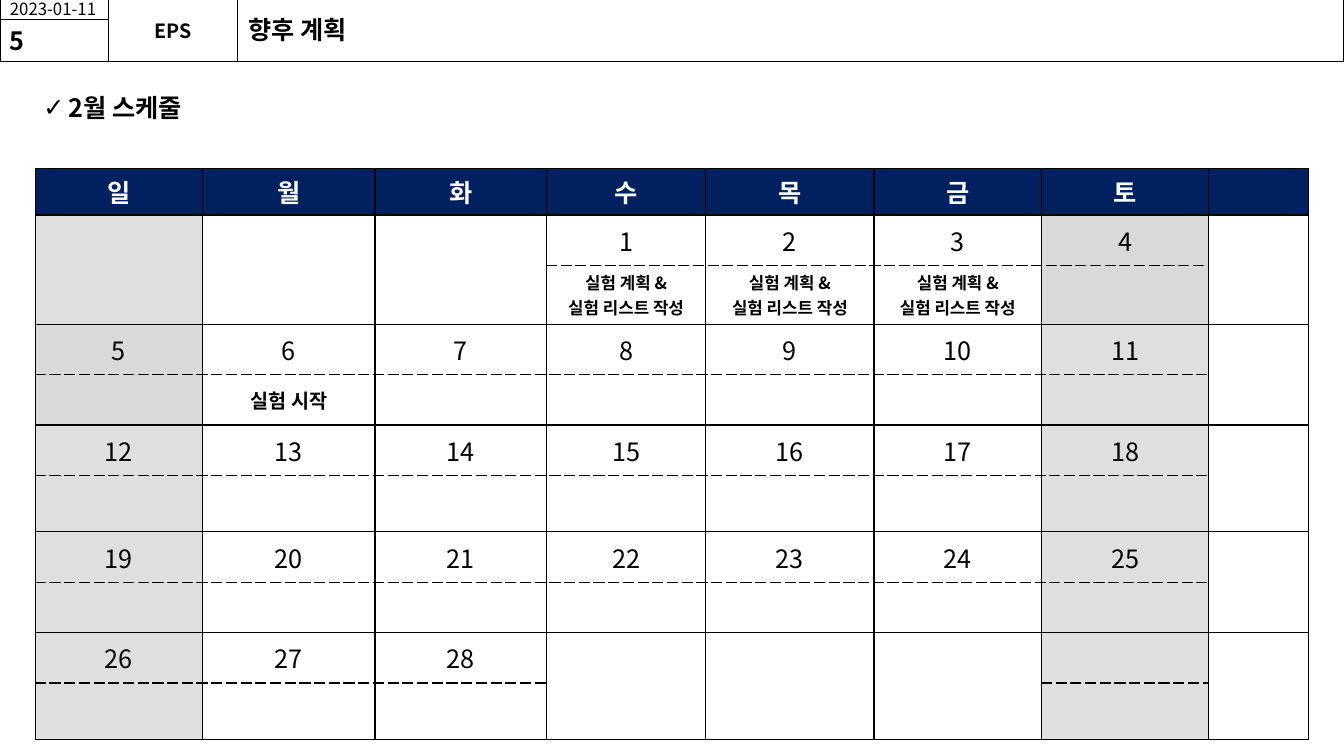
from dataclasses import dataclass

from lxml.etree import SubElement
from pptx import Presentation
from pptx.dml.color import RGBColor
from pptx.enum.shapes import MSO_SHAPE
from pptx.enum.text import MSO_ANCHOR, MSO_AUTO_SIZE, PP_ALIGN
from pptx.oxml.ns import qn
from pptx.util import Inches, Pt


@dataclass(frozen=True)
class Theme:
    """Colours, font and type sizes of the slide."""
    font: str = "Noto Sans CJK KR"
    ink: str = "000000"
    paper: str = "FFFFFF"
    navy: str = "002060"
    weekend: str = "DFDFDF"
    first_weekend: str = "D9D9D9"
    heading: int = 18
    label: int = 14
    small: int = 12
    outline: float = 0.75
    border: float = 1


@dataclass(frozen=True)
class Box:
    """A rectangle counted in grid units of a hundredth of an inch."""
    left: int
    top: int
    width: int
    height: int

    def inner(self, left, top, width, height):
        """Return a box placed relative to this one."""
        return Box(self.left + left, self.top + top, width, height)

    def lengths(self):
        """Return left, top, width and height as slide lengths."""
        return [units(value) for value in (self.left, self.top, self.width, self.height)]


THEME = Theme()
SLIDE = Box(0, 0, 1333, 750)
WEEKDAYS = ["일", "월", "화", "수", "목", "금", "토"]
COLUMN_WIDTHS = [166, 171, 170, 158, 167, 166, 166, 99]
HEADER_HEIGHT, DATE_HEIGHT = 41, 50
NOTE_HEIGHTS = [50, 50, 56, 50, 56]
FIRST_COLUMN, LAST_DAY = 3, 28
SATURDAY, SIDE = 6, 7
PLAN = ["실험 계획 &", "실험 리스트 작성"]
NOTES = {day: (PLAN, THEME.small) for day in (1, 2, 3)}
NOTES[6] = (["실험 시작"], THEME.label)


def units(count):
    """Convert grid units to a slide length."""
    return Inches(count / 100)


def write(frame, lines, size, bold=False, color=THEME.ink, align=PP_ALIGN.LEFT):
    """Write one formatted paragraph per line."""
    for index, line in enumerate(lines):
        paragraph = frame.add_paragraph() if index else frame.paragraphs[0]
        paragraph.text = line
        paragraph.alignment = align
        paragraph.font.name = THEME.font
        paragraph.font.size = Pt(size)
        paragraph.font.bold = bold
        paragraph.font.color.rgb = RGBColor.from_string(color)


def place(shape, box):
    """Move a placeholder into a box."""
    shape.left, shape.top, shape.width, shape.height = box.lengths()


def add_frame(slide, box):
    """Add an outlined, unfilled rectangle and return its text frame."""
    shape = slide.shapes.add_shape(MSO_SHAPE.RECTANGLE, *box.lengths())
    shape.shadow.inherit = False
    shape.fill.background()
    shape.line.color.rgb = RGBColor.from_string(THEME.ink)
    shape.line.width = Pt(THEME.outline)
    frame = shape.text_frame
    frame.vertical_anchor = MSO_ANCHOR.MIDDLE
    return frame


def build_header(slide, box):
    """Build the strip with date, page number, section and title."""
    side, section, date_height = 108, 128, 20
    title_left = side + section
    add_frame(slide, box.inner(title_left, 0, box.width - title_left, box.height))
    date = add_frame(slide, box.inner(0, 0, side, date_height))
    write(date, ["2023-01-11"], THEME.small)
    label = add_frame(slide, box.inner(side, 0, section, box.height))
    label.margin_left = label.margin_right = label.margin_top = label.margin_bottom = 0
    write(label, ["EPS"], THEME.label, True, align=PP_ALIGN.CENTER)
    number = add_frame(slide, box.inner(0, date_height, side, box.height - date_height))
    write(number, ["5"], THEME.heading, True)
    title = slide.shapes.title
    place(title, box.inner(title_left, 10, 729, 40))
    title.text_frame.vertical_anchor = MSO_ANCHOR.TOP
    title.text_frame.auto_size = MSO_AUTO_SIZE.NONE
    write(title.text_frame, ["향후 계획"], THEME.heading, True)


def build_body(slide, box):
    """Build the check-marked heading above the calendar."""
    body = slide.placeholders[1]
    place(body, box)
    frame = body.text_frame
    frame.auto_size = MSO_AUTO_SIZE.NONE
    paragraph = frame.paragraphs[0]
    properties = paragraph._p.get_or_add_pPr()
    properties.set("marL", str(units(25)))
    properties.set("indent", str(-units(25)))
    SubElement(properties, qn("a:buChar"), char="✓")
    paragraph.line_spacing = 0.9
    paragraph.space_before = Pt(0)
    write(frame, ["2월 스케줄"], THEME.heading, True)


def style_cell(cell, fill, dashed=""):
    """Fill a cell and draw its borders, dashing the named side."""
    properties = cell._tc.get_or_add_tcPr()
    for side in ("lnL", "lnR", "lnT", "lnB"):
        line = SubElement(properties, qn(f"a:{side}"), w=str(Pt(THEME.border)))
        color = SubElement(line, qn("a:solidFill"))
        SubElement(color, qn("a:srgbClr"), val=THEME.ink)
        SubElement(line, qn("a:prstDash"), val="sysDash" if side == dashed else "solid")
    cell.fill.solid()
    cell.fill.fore_color.rgb = RGBColor.from_string(fill)
    cell.vertical_anchor = MSO_ANCHOR.MIDDLE


def day_fill(day, column):
    """Return the fill of a day in a given column."""
    if column not in (0, SATURDAY):
        return THEME.paper
    return THEME.first_weekend if day in (4, 5) else THEME.weekend


def build_day(table, week, column):
    """Build the date cell and the note cell of one day."""
    upper = table.cell(1 + 2 * week, column)
    lower = table.cell(2 + 2 * week, column)
    day = week * 7 + column - FIRST_COLUMN + 1
    in_month = column != SIDE and 1 <= day <= LAST_DAY
    split = in_month or (column == SATURDAY and day > LAST_DAY)
    fill = day_fill(day, column)
    style_cell(upper, fill, "lnB" if split else "")
    style_cell(lower, fill, "lnT" if split else "")
    if not split:
        upper.merge(lower)
    if in_month:
        write(upper.text_frame, [str(day)], THEME.heading, align=PP_ALIGN.CENTER)
        if day in NOTES:
            lines, size = NOTES[day]
            write(lower.text_frame, lines, size, True, align=PP_ALIGN.CENTER)


def build_calendar(slide, box):
    """Build the month table with a header row and two rows a week."""
    heights = [HEADER_HEIGHT]
    for note_height in NOTE_HEIGHTS:
        heights += [DATE_HEIGHT, note_height]
    table = slide.shapes.add_table(len(heights), len(COLUMN_WIDTHS), *box.lengths()).table
    for row, height in zip(table.rows, heights):
        row.height = units(height)
    for column, width in zip(table.columns, COLUMN_WIDTHS):
        column.width = units(width)
    for column in range(len(COLUMN_WIDTHS)):
        style_cell(table.cell(0, column), THEME.navy)
        for week in range(len(NOTE_HEIGHTS)):
            build_day(table, week, column)
    for column, name in enumerate(WEEKDAYS):
        write(table.cell(0, column).text_frame, [name], THEME.heading, True,
              THEME.paper, PP_ALIGN.CENTER)


def main():
    """Build and save the schedule slide."""
    presentation = Presentation()
    presentation.slide_width = units(SLIDE.width)
    presentation.slide_height = units(SLIDE.height)
    slide = presentation.slides.add_slide(presentation.slide_layouts[1])
    build_header(slide, SLIDE.inner(0, -1, SLIDE.width, 62))
    build_body(slide, SLIDE.inner(33, 90, 1192, 609))
    build_calendar(slide, SLIDE.inner(35, 167, sum(COLUMN_WIDTHS), 553))
    presentation.save("out.pptx")


if __name__ == "__main__":
    main()
